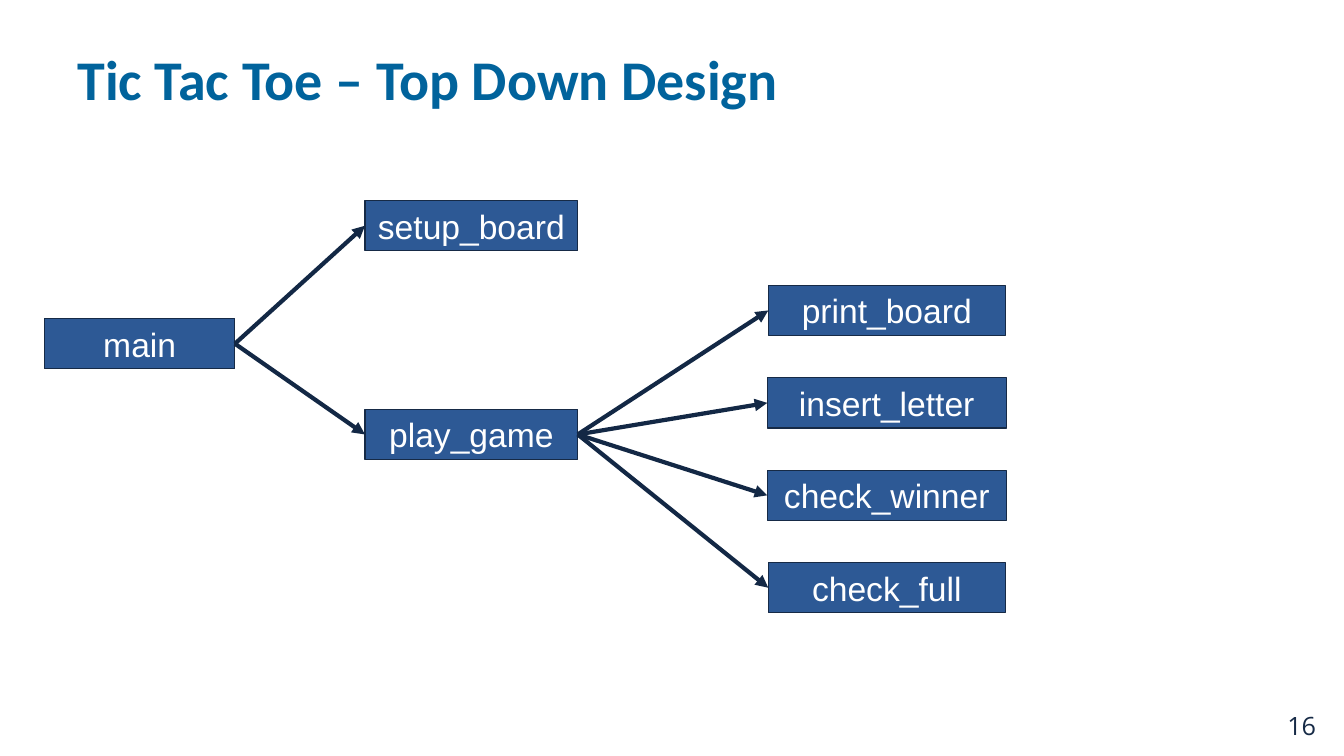
from dataclasses import dataclass

from lxml.etree import SubElement
from pptx import Presentation
from pptx.dml.color import RGBColor
from pptx.enum.shapes import MSO_CONNECTOR, MSO_SHAPE
from pptx.enum.text import MSO_ANCHOR, PP_ALIGN
from pptx.oxml.ns import qn
from pptx.shapes.autoshape import Shape
from pptx.slide import Slide
from pptx.util import Inches, Pt


@dataclass(frozen=True)
class TextStyle:
    font: str
    size: float
    color: RGBColor
    bold: bool = False


@dataclass(frozen=True)
class Theme:
    title: TextStyle = TextStyle("Calibri", 40, RGBColor(0x01, 0x63, 0x9C), True)
    function: TextStyle = TextStyle("Arial", 24, RGBColor(0xFF, 0xFF, 0xFF))
    page_number: TextStyle = TextStyle("Open Sans", 18, RGBColor(0x16, 0x2A, 0x46))
    box_fill: RGBColor = RGBColor(0x2D, 0x59, 0x95)
    box_border: RGBColor = RGBColor(0x16, 0x2A, 0x46)
    arrow: RGBColor = RGBColor(0x13, 0x28, 0x45)
    border_width: float = 0.75
    arrow_width: float = 3


@dataclass(frozen=True)
class Function:
    name: str
    left: float
    top: float
    width: float
    caller: str | None = None


THEME = Theme()
BOX_HEIGHT = 0.5
LEFT_SIDE, RIGHT_SIDE = 1, 3

# Helpers of play_game are stacked at an equal pitch: (name, left, width)
HELPER_TOP, HELPER_PITCH = 2.83, 0.917
HELPERS = [
    ("print_board", 7.62, 2.35),
    ("insert_letter", 7.61, 2.37),
    ("check_winner", 7.61, 2.37),
    ("check_full", 7.62, 2.35),
]
FUNCTIONS = [
    Function("main", 0.44, 3.16, 1.89),
    Function("setup_board", 3.62, 1.99, 2.11, "main"),
    Function("play_game", 3.62, 4.06, 2.11, "main"),
] + [
    Function(name, left, HELPER_TOP + row * HELPER_PITCH, width, "play_game")
    for row, (name, left, width) in enumerate(HELPERS)
]


def write(shape: Shape, text: str, style: TextStyle, align: PP_ALIGN,
          anchor: MSO_ANCHOR, wrap: bool) -> None:
    frame = shape.text_frame
    frame.word_wrap = wrap
    frame.vertical_anchor = anchor
    paragraph = frame.paragraphs[0]
    paragraph.alignment = align
    run = paragraph.add_run()
    run.text = text
    run.font.name = style.font
    run.font.size = Pt(style.size)
    run.font.bold = style.bold
    run.font.color.rgb = style.color


def add_label(slide: Slide, text: str, style: TextStyle, left: float, top: float,
              width: float, height: float, anchor: MSO_ANCHOR) -> None:
    label = slide.shapes.add_textbox(
        Inches(left), Inches(top), Inches(width), Inches(height))
    write(label, text, style, PP_ALIGN.LEFT, anchor, True)


def add_function(slide: Slide, function: Function) -> Shape:
    box = slide.shapes.add_shape(
        MSO_SHAPE.RECTANGLE, Inches(function.left), Inches(function.top),
        Inches(function.width), Inches(BOX_HEIGHT))
    box.shadow.inherit = False
    box.fill.solid()
    box.fill.fore_color.rgb = THEME.box_fill
    box.line.color.rgb = THEME.box_border
    box.line.width = Pt(THEME.border_width)
    write(box, function.name, THEME.function, PP_ALIGN.CENTER, MSO_ANCHOR.TOP, False)
    return box


def add_call(slide: Slide, caller: Shape, callee: Shape) -> None:
    arrow = slide.shapes.add_connector(MSO_CONNECTOR.STRAIGHT, 0, 0, 0, 0)
    arrow.begin_connect(caller, RIGHT_SIDE)
    arrow.end_connect(callee, LEFT_SIDE)
    arrow.line.color.rgb = THEME.arrow
    arrow.line.width = Pt(THEME.arrow_width)
    SubElement(arrow.line._get_or_add_ln(), qn("a:tailEnd"), type="triangle")
    SubElement(arrow._element.spPr, qn("a:effectLst"))


def main() -> None:
    presentation = Presentation()
    presentation.slide_width = Inches(13.33)
    presentation.slide_height = Inches(7.5)
    slide = presentation.slides.add_slide(presentation.slide_layouts[6])

    # Page number and title
    add_label(slide, "16", THEME.page_number, 12.67, 7, 0.5, 0.4, MSO_ANCHOR.TOP)
    add_label(slide, "Tic Tac Toe – Top Down Design", THEME.title,
              0.67, 0.06, 12, 1.42, MSO_ANCHOR.MIDDLE)

    # Function boxes
    boxes = {function.name: add_function(slide, function) for function in FUNCTIONS}

    # Arrows from each caller to the functions it calls
    for function in FUNCTIONS:
        if function.caller:
            add_call(slide, boxes[function.caller], boxes[function.name])

    presentation.save("out.pptx")


if __name__ == "__main__":
    main()
